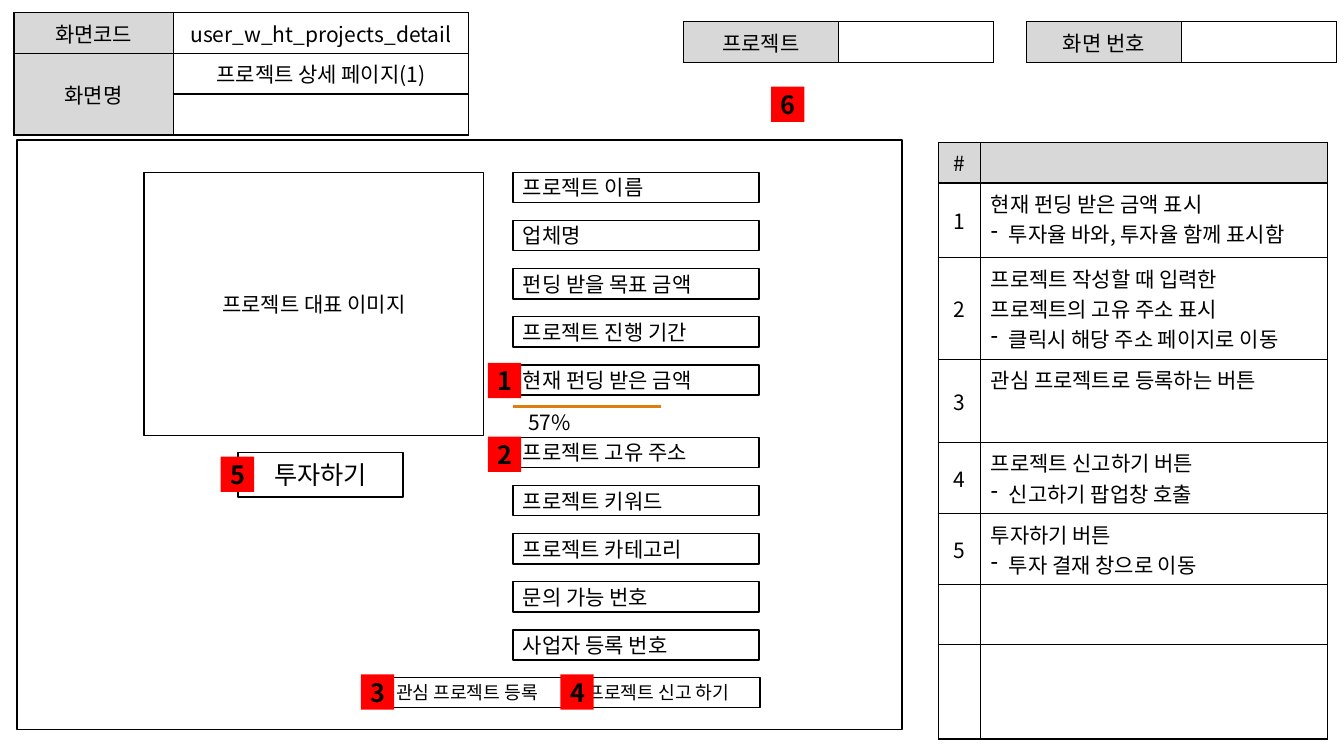
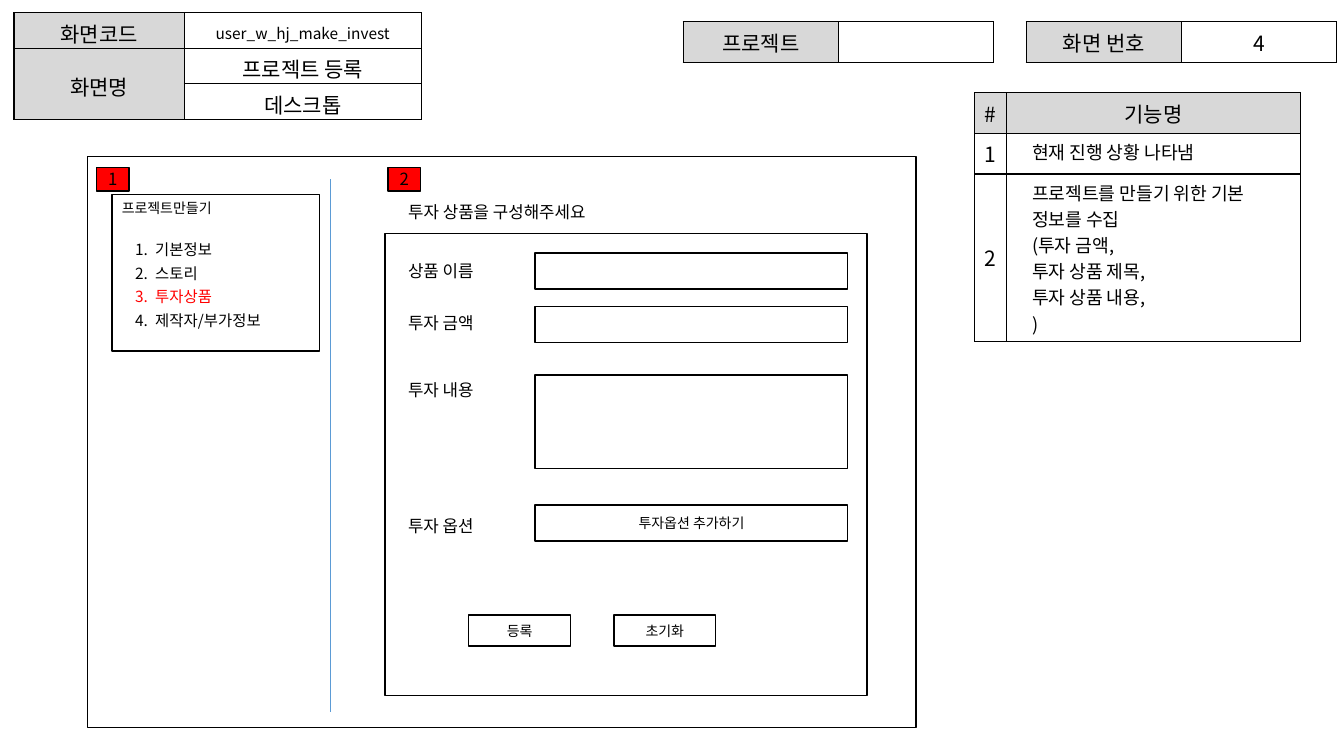
"""Build two wireframe slides: a project detail page and an investment product form."""
import lxml.etree
import pptx
import pptx.dml.color
import pptx.enum.shapes
import pptx.enum.text
import pptx.oxml.ns
import pptx.util

Pt = pptx.util.Pt
RGBColor = pptx.dml.color.RGBColor
ALIGN = pptx.enum.text.PP_ALIGN
ANCHOR = pptx.enum.text.MSO_ANCHOR
qn = pptx.oxml.ns.qn

FONT = "Noto Sans CJK KR"
BLACK = RGBColor(0x00, 0x00, 0x00)
WHITE = RGBColor(0xFF, 0xFF, 0xFF)
GRAY = RGBColor(0xD8, 0xD8, 0xD8)
RED = RGBColor(0xFF, 0x00, 0x00)
ORANGE = RGBColor(0xDC, 0x7F, 0x0D)
BLUE = RGBColor(0x5B, 0x9B, 0xD5)

LABEL_ROW = 29
HEADER_LEFT, HEADER_TOP = 10, 9.2

DETAIL = {
    "header": [["화면코드", "user_w_ht_projects_detail"], ["화면명", "프로젝트 상세 페이지(1)"], ["", ""]],
    "number": "",
    "functions": [
        ["#", ""],
        ["1", ["현재 펀딩 받은 금액 표시", "- 투자율 바와, 투자율 함께 표시함"]],
        ["2", ["프로젝트 작성할 때 입력한 프로젝트의 고유 주소 표시", "- 클릭시 해당 주소 페이지로 이동"]],
        ["3", ["관심 프로젝트로 등록하는 버튼"]],
        ["4", ["프로젝트 신고하기 버튼", "- 신고하기 팝업창 호출"]],
        ["5", ["투자하기 버튼", "- 투자 결재 창으로 이동"]],
        ["", ""],
        ["", ""],
    ],
}
FIELD_GROUPS = [
    (123.1, ["프로젝트 이름", "업체명", "펀딩 받을 목표 금액", "프로젝트 진행 기간", "현재 펀딩 받은 금액"]),
    (312.4, ["프로젝트 고유 주소", "프로젝트 키워드", "프로젝트 카테고리", "문의 가능 번호", "사업자 등록 번호"]),
]
FIELD_LEFT, FIELD_WIDTH, FIELD_HEIGHT, FIELD_STEP = 366.5, 175.7, 21.6, 34.4
FOOT_BUTTONS = [(275.8, "관심 프로젝트 등록"), (412.6, "프로젝트 신고 하기")]
DETAIL_TAGS = [
    ("1", 348.5, 259.2), ("2", 348.5, 311.8), ("3", 257.8, 481.7),
    ("4", 400.3, 481.7), ("5", 157.7, 326.2), ("6", 550.8, 61.9),
]

INVEST = {
    "header": [["화면코드", "user_w_hj_make_invest"], ["화면명", "프로젝트 등록"], ["", "데스크톱"]],
    "number": "4",
    "functions": [
        ["#", "기능명"],
        ["1", ["현재 진행 상황 나타냄"]],
        ["2", ["프로젝트를 만들기 위한 기본 정보를 수집", "(투자 금액,", "투자 상품 제목,", "투자 상품 내용,", ")"]],
    ],
}
MENU_ITEMS = ["기본정보", "스토리", "투자상품", "제작자/부가정보"]
CURRENT_ITEM = "투자상품"
FORM_ROWS = [
    ("상품 이름", 182.9, 180.7, 25.9, ""),
    ("투자 금액", 219.6, 218.9, 25.9, ""),
    ("투자 내용", 267.8, 267.8, 67, ""),
    ("투자 옵션", 365, 360.7, 25.9, "투자옵션 추가하기"),
]
FORM_BUTTONS = [(334.8, "등록"), (438.5, "초기화")]
INVEST_TAGS = [("1", 69.1, 119.5), ("2", 277.2, 119.5)]


def apply(target, values):
    """Set each attribute of the target from a dict."""
    for name, value in values.items():
        setattr(target, name, value)


def write(paragraph, text, size, align=ALIGN.LEFT, color=BLACK, bold=False):
    """Put one formatted run in a paragraph."""
    paragraph.alignment = align
    run = paragraph.add_run()
    run.text = text
    apply(run.font, {"name": FONT, "size": Pt(size), "bold": bold})
    run.font.color.rgb = color
    lxml.etree.SubElement(run._r.get_or_add_rPr(), qn("a:ea"), typeface=FONT)


def set_bullet(paragraph, kind, value, hanging):
    """Give a paragraph a bullet or number with a hanging indent."""
    properties = paragraph._p.get_or_add_pPr()
    properties.set("marL", str(Pt(hanging)))
    properties.set("indent", str(-Pt(hanging)))
    attribute = "char" if kind == "buChar" else "type"
    lxml.etree.SubElement(properties, qn(f"a:{kind}"), {attribute: value})


def add_box(slide, left, top, width, height, text="", size=15, align=ALIGN.CENTER,
            anchor=ANCHOR.MIDDLE, bold=False, fill=None, line=BLACK):
    """Add a rectangle with optional text."""
    shape = slide.shapes.add_shape(
        pptx.enum.shapes.MSO_SHAPE.RECTANGLE, Pt(left), Pt(top), Pt(width), Pt(height))
    shape.shadow.inherit = False
    if fill is None:
        shape.fill.background()
    else:
        shape.fill.solid()
        shape.fill.fore_color.rgb = fill
    if line is None:
        shape.line.fill.background()
    else:
        shape.line.color.rgb = line
        shape.line.width = Pt(1)
    shape.text_frame.vertical_anchor = anchor
    if text:
        write(shape.text_frame.paragraphs[0], text, size, align, bold=bold)


def add_label(slide, left, top, width, height, text, size):
    """Add a plain text box."""
    frame = slide.shapes.add_textbox(Pt(left), Pt(top), Pt(width), Pt(height)).text_frame
    frame.word_wrap = True
    write(frame.paragraphs[0], text, size)


def add_line(slide, start, end, color, width):
    """Add a straight line without a shadow."""
    line = slide.shapes.add_connector(
        pptx.enum.shapes.MSO_CONNECTOR.STRAIGHT, *(Pt(value) for value in (*start, *end)))
    line.line.color.rgb = color
    line.line.width = Pt(width)
    lxml.etree.SubElement(line._element.spPr, qn("a:effectLst"))


def set_borders(cell):
    """Draw a thin black line on each side of a cell."""
    properties = cell._tc.get_or_add_tcPr()
    for side in ("lnL", "lnR", "lnT", "lnB"):
        border = lxml.etree.SubElement(properties, qn(f"a:{side}"), w=str(Pt(1)))
        fill = lxml.etree.SubElement(border, qn("a:solidFill"))
        lxml.etree.SubElement(fill, qn("a:srgbClr"), val=str(BLACK))


def fill_description(cell, lines, size, indent):
    """Write left-aligned lines, turning a leading dash into a bullet."""
    frame = cell.text_frame
    for index, line in enumerate(lines):
        paragraph = frame.add_paragraph() if index else frame.paragraphs[0]
        if line.startswith("- "):
            set_bullet(paragraph, "buChar", "-", 12.9)
        elif indent:
            paragraph._p.get_or_add_pPr().set("marL", str(Pt(indent)))
        write(paragraph, line.removeprefix("- "), size)


def add_table(slide, left, top, columns, rows, cells, gray_row=False,
              size=15, indent=0, bottom=3.6, small=None):
    """Add a bordered table with a gray first row or first column."""
    table = slide.shapes.add_table(
        len(rows), len(columns), Pt(left), Pt(top), Pt(sum(columns)), Pt(sum(rows))).table
    for column, width in zip(table.columns, columns):
        column.width = Pt(width)
    for row, height in zip(table.rows, rows):
        row.height = Pt(height)
    for row_index, values in enumerate(cells):
        for column_index, value in enumerate(values):
            cell = table.cell(row_index, column_index)
            set_borders(cell)
            cell.fill.solid()
            is_gray = (row_index if gray_row else column_index) == 0
            cell.fill.fore_color.rgb = GRAY if is_gray else WHITE
            cell.margin_bottom = Pt(bottom)
            if isinstance(value, list):
                fill_description(cell, value, size, indent)
            elif value:
                cell.vertical_anchor = ANCHOR.MIDDLE
                text_size = 11 if value == small else 15
                write(cell.text_frame.paragraphs[0], value, text_size, ALIGN.CENTER)
    return table


def add_screen_header(slide, content, columns, row_height, **options):
    """Add the screen name, project and screen number tables."""
    header = add_table(slide, HEADER_LEFT, HEADER_TOP, columns, [row_height] * 3,
                       content["header"], **options)
    header.cell(1, 0).merge(header.cell(2, 0))
    for left, label, value in ((488, "프로젝트", ""), (733, "화면 번호", content["number"])):
        add_table(slide, left, 15.6, [110.9] * 2, [LABEL_ROW], [[label, value]])


def build_detail(presentation):
    """Build the project detail page."""
    slide = presentation.slides.add_slide(presentation.slide_layouts[6])
    add_screen_header(slide, DETAIL, [113.8, 211], LABEL_ROW)
    add_table(slide, 670.3, 101.5, [30.2, 247.7], [28.9, 53.3, 72.6, 59.5, 50.8, 50.8, 42.5, 67.7],
              DETAIL["functions"], gray_row=True)
    add_box(slide, 12.2, 100.1, 632.2, 421.2)
    add_line(slide, (FIELD_LEFT, 290.2), (472.3, 290.2), ORANGE, 2.25)
    add_box(slide, 369.4, 294.5, 46.1, 14.4, "57%", fill=WHITE, line=None)
    add_box(slide, 103, 123.1, 242.6, 187.9, "프로젝트 대표 이미지")
    for top, names in FIELD_GROUPS:
        for index, name in enumerate(names):
            add_box(slide, FIELD_LEFT, top + index * FIELD_STEP, FIELD_WIDTH, FIELD_HEIGHT,
                    name, align=ALIGN.LEFT)
    for left, name in FOOT_BUTTONS:
        add_box(slide, left, 483.8, 130.3, FIELD_HEIGHT, name, 13, ALIGN.LEFT)
    add_box(slide, 169.9, 323.3, 118.1, 31.7, "투자하기", 18, fill=WHITE)
    for number, left, top in DETAIL_TAGS:
        add_box(slide, left, top, 23.8, 25.2, number, 18, bold=True, fill=RED, line=None)


def place(placeholder, left, top, width, height):
    """Move a placeholder and give it plain text settings."""
    apply(placeholder, {"left": Pt(left), "top": Pt(top), "width": Pt(width), "height": Pt(height)})
    apply(placeholder.text_frame, {
        "word_wrap": True, "vertical_anchor": ANCHOR.TOP,
        "auto_size": pptx.enum.text.MSO_AUTO_SIZE.NONE})
    return placeholder.text_frame


def build_invest(presentation):
    """Build the investment product form."""
    slide = presentation.slides.add_slide(presentation.slide_layouts[1])
    heading = place(slide.shapes.title, 284.4, 140.4, 237.6, 21.6)
    write(heading.paragraphs[0], "투자 상품을 구성해주세요", 12)
    menu = place(slide.placeholders[1], 89.3, 167.8, 138, 82)
    for index, item in enumerate(MENU_ITEMS):
        paragraph = menu.add_paragraph() if index else menu.paragraphs[0]
        set_bullet(paragraph, "buAutoNum", "arabicPeriod", 14.4)
        paragraph.space_before = Pt(3.7 if index else 0)
        write(paragraph, item, 11, color=RED if item == CURRENT_ITEM else BLACK)

    add_screen_header(slide, INVEST, [121.7, 169.2], 25.3, bottom=0, small="user_w_hj_make_invest")
    add_table(slide, 696.2, 66.2, [23, 209.5], [28.9, 29.2, 119.4], INVEST["functions"],
              gray_row=True, size=13, indent=10.8)
    add_box(slide, 62.6, 111.6, 591.8, 408.2)
    add_line(slide, (235.8, 128.2), (235.8, 508.3), BLUE, 0.5)
    add_box(slide, 79.9, 139, 148.3, 111.6, "프로젝트만들기", 10, ALIGN.LEFT, ANCHOR.TOP)
    add_box(slide, 275, 167, 344.2, 329.8)
    for label, label_top, box_top, height, text in FORM_ROWS:
        add_label(slide, 284.4, label_top, 97.9, 21.6, label, 12)
        add_box(slide, 382.3, box_top, 223.2, height, text, 10)
    for left, name in FORM_BUTTONS:
        add_box(slide, left, 439.2, 72.7, 22.3, name, 10)
    for number, left, top in INVEST_TAGS:
        add_box(slide, left, top, 23, 17, number, 12, fill=RED)


def main():
    """Build and save the presentation."""
    presentation = pptx.Presentation()
    apply(presentation, {"slide_width": Pt(960), "slide_height": Pt(540)})
    build_detail(presentation)
    build_invest(presentation)
    presentation.save("out.pptx")


if __name__ == "__main__":
    main()
